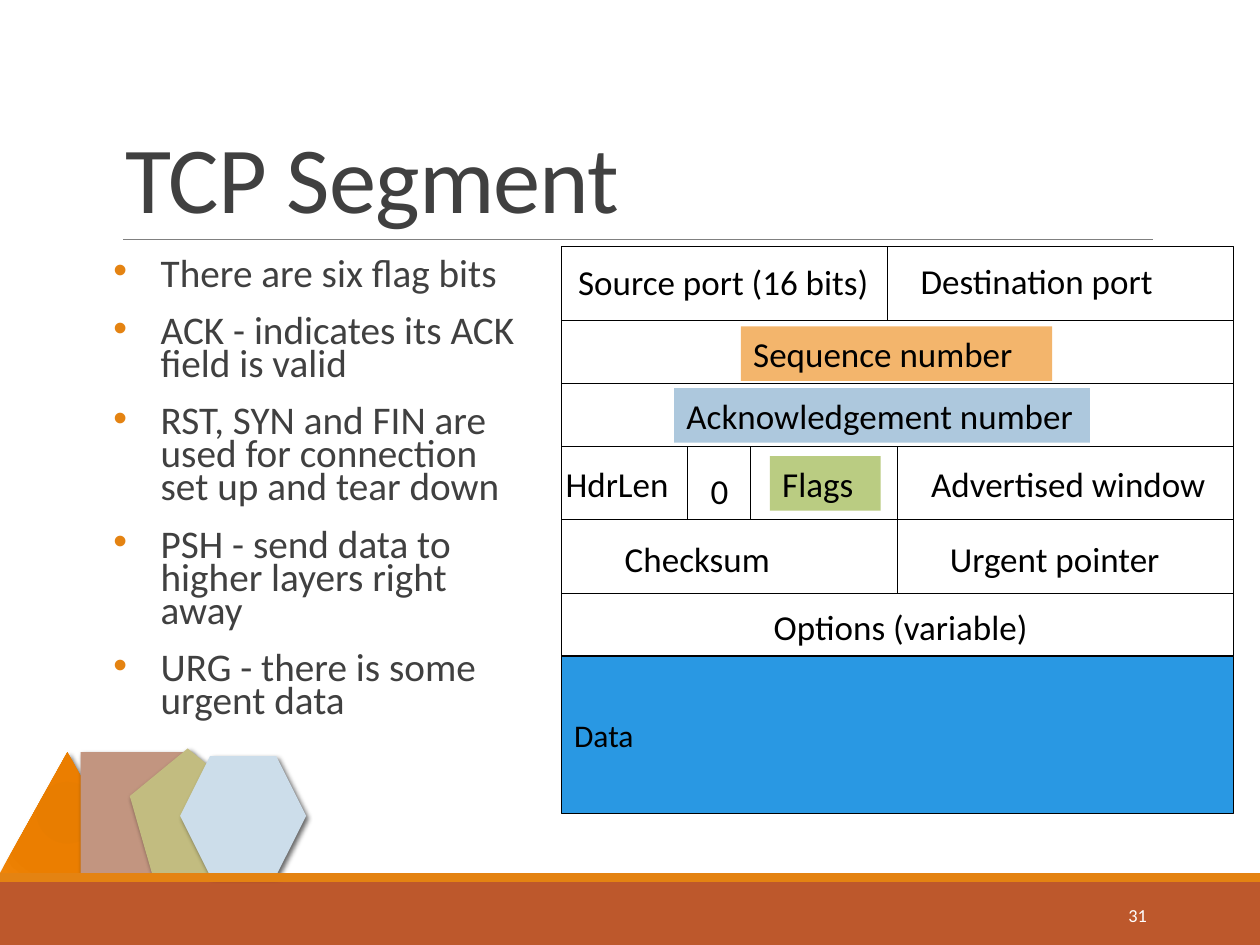
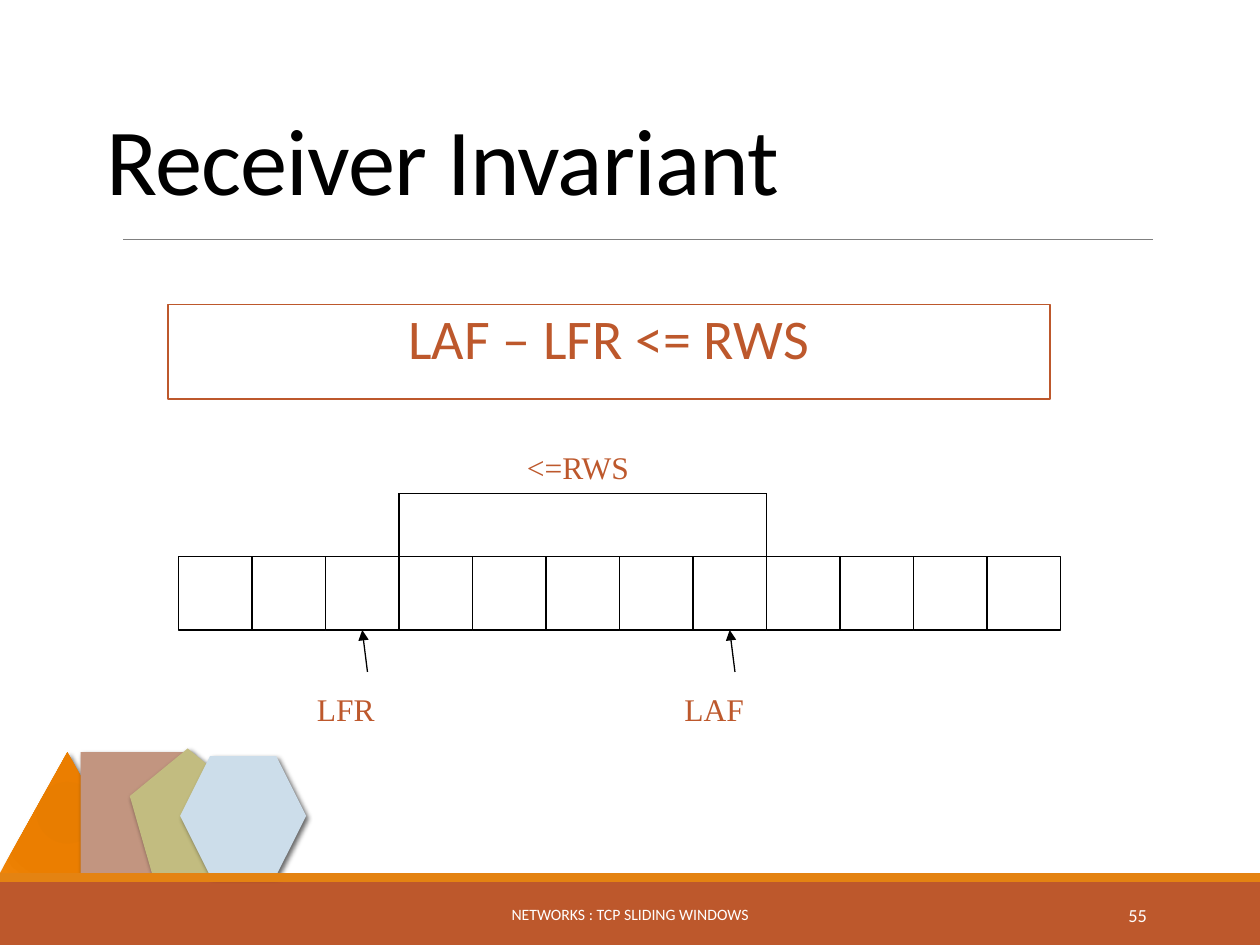
import dataclasses
import itertools
import typing

import pptx
import pptx.dml.color
import pptx.enum.shapes
import pptx.enum.text
import pptx.oxml
import pptx.oxml.ns
import pptx.util

RGB = pptx.dml.color.RGBColor
BLACK = RGB(0x00, 0x00, 0x00)
WHITE = RGB(0xFF, 0xFF, 0xFF)
CHARCOAL = RGB(0x40, 0x40, 0x40)
GREY = RGB(0x80, 0x80, 0x80)
ORANGE = RGB(0xE4, 0x83, 0x12)
RUST = RGB(0xBD, 0x58, 0x2C)
CLAY = RGB(0xC2, 0x95, 0x80)
OLIVE = RGB(0xC2, 0xBC, 0x80)
ICE = RGB(0xCC, 0xDD, 0xEA)
APRICOT = RGB(0xF3, 0xB5, 0x6C)
POWDER = RGB(0xAD, 0xC8, 0xDD)
GREEN = RGB(0xBA, 0xCC, 0x82)
BLUE = RGB(0x29, 0x98, 0xE3)
FLAME_STOPS = {0: "E57B00", 34: "E87D00", 70: "EB7E00", 100: "EF8407"}

COLUMNS, ROWS = 120, 90
SLIDE_WIDTH, SLIDE_HEIGHT = pptx.util.Inches(10), pptx.util.Inches(7.5)
UNIT = SLIDE_WIDTH / COLUMNS
HANGING = round(4.5 * UNIT)

KIND = pptx.enum.shapes.MSO_SHAPE
ALIGN = pptx.enum.text.PP_ALIGN
ANCHOR = pptx.enum.text.MSO_ANCHOR
Pt = pptx.util.Pt
Color = typing.Optional[RGB]


@dataclasses.dataclass(frozen=True)
class Box:
    """A rectangle in grid columns and rows."""
    left: float
    top: float
    width: float
    height: float

    def lengths(self) -> list[int]:
        return [round(value * UNIT) for value in dataclasses.astuple(self)]

    def moved(self, columns: float, rows: float) -> "Box":
        return dataclasses.replace(self, left=self.left + columns, top=self.top + rows)


@dataclasses.dataclass(frozen=True)
class TextStyle:
    size: float
    color: RGB
    font: str = "Calibri"
    align: ALIGN = ALIGN.LEFT
    anchor: ANCHOR = ANCHOR.TOP
    wrap: bool = True
    tracking: int = 0
    side_margin: float = 0.1
    hanging: bool = False
    bullet: bool = False
    spacing: dict = dataclasses.field(default_factory=dict)


@dataclasses.dataclass(frozen=True)
class Ornament:
    kind: KIND
    box: Box
    fill: Color


@dataclasses.dataclass(frozen=True)
class FieldLabel:
    """A name in the segment diagram, placed from the diagram's corner."""
    text: str
    box: Box
    fill: Color = None


TITLE = TextStyle(54, CHARCOAL, anchor=ANCHOR.BOTTOM, tracking=-50,
                  spacing={"line_spacing": 0.85})
PARAGRAPH_GAPS = {"space_before": Pt(12), "space_after": Pt(2)}
BULLETS = TextStyle(22.4, CHARCOAL, side_margin=0, hanging=True, bullet=True,
                    spacing={"line_spacing": 0.7, **PARAGRAPH_GAPS})
FORMULA = TextStyle(32, RUST, align=ALIGN.CENTER, side_margin=0, hanging=True,
                    spacing={"line_spacing": 0.9, **PARAGRAPH_GAPS})
FIELD = TextStyle(20, BLACK, wrap=False)
PAYLOAD = TextStyle(18, BLACK, anchor=ANCHOR.MIDDLE, wrap=False)
POINTER = TextStyle(18, RUST, font="Times New Roman", anchor=ANCHOR.MIDDLE, wrap=False)
PAGE_NUMBER = TextStyle(10.5, WHITE, align=ALIGN.RIGHT, anchor=ANCHOR.MIDDLE)
FOOTER = TextStyle(9, WHITE, align=ALIGN.CENTER, anchor=ANCHOR.MIDDLE)

TRIANGLE = Ornament(KIND.ISOSCELES_TRIANGLE, Box(0, 71.64, 12.84, 11.52), None)
SQUARE = Ornament(KIND.RECTANGLE, Box(7.68, 71.64, 10.44, 11.52), CLAY)
PENTAGON = Ornament(KIND.REGULAR_PENTAGON, Box(12.36, 71.28, 11.04, 11.88), OLIVE)
HEXAGON = Ornament(KIND.HEXAGON, Box(17.16, 72, 12, 11.4), ICE)

SEGMENT_LEFT, SEGMENT_TOP = 53.5, 23.5
SEGMENT_ROWS = [(7, [31, 33]), (6, [64]), (6, [64]), (7, [32, 32]),
                (7, [32, 32]), (6, [64])]
HEADER_DIVIDERS = [12, 18]
FIELD_LABELS = [
    FieldLabel("Source port (16 bits)", Box(0.38, 0.74, 30.36, 5.2)),
    FieldLabel("Destination port", Box(33, 0.62, 25.8, 5.2)),
    FieldLabel("Sequence number", Box(17.06, 7.58, 29.64, 5.2), APRICOT),
    FieldLabel("Acknowledgement number", Box(10.7, 13.46, 39.6, 5.2), POWDER),
    FieldLabel("Advertised window", Box(34, 19.94, 30.24, 5.2)),
    FieldLabel("HdrLen", Box(-0.82, 19.94, 13.32, 5.2)),
    FieldLabel("Flags", Box(19.82, 19.94, 10.56, 5.2), GREEN),
    FieldLabel("0", Box(13, 20.66, 4.32, 5.2)),
    FieldLabel("Checksum", Box(4.82, 27.14, 18.12, 5.2)),
    FieldLabel("Urgent pointer", Box(35.78, 27.14, 23.52, 5.2)),
    FieldLabel("Options (variable)", Box(19, 33.62, 28.68, 5.2)),
]
FLAG_NOTES = [
    "There are six flag bits",
    "ACK - indicates its ACK field is valid",
    "RST, SYN and FIN are used for connection set up and tear down",
    "PSH - send data to higher layers right away",
    "URG - there is some urgent data",
]

BUFFER_LEFT, BUFFER_TOP, CELL, CELL_COUNT = 17, 53, 7, 12
LFR_CELL, LAF_CELL = 2, 7


def drawing_xml(tag: str, content: str = "", attributes: str = ""):
    return pptx.oxml.parse_xml(
        f"<a:{tag} {pptx.oxml.ns.nsdecls('a')} {attributes}>{content}</a:{tag}>")


def write_text(shape, lines: list[str], style: TextStyle) -> None:
    frame = shape.text_frame
    margin = pptx.util.Inches(style.side_margin)
    for name, value in {"word_wrap": style.wrap, "vertical_anchor": style.anchor,
                        "margin_left": margin, "margin_right": margin}.items():
        setattr(frame, name, value)
    for index, line in enumerate(lines):
        paragraph = frame.add_paragraph() if index else frame.paragraphs[0]
        for name, value in {"alignment": style.align, **style.spacing}.items():
            setattr(paragraph, name, value)
        run = paragraph.add_run()
        run.text = line
        for name, value in {"name": style.font, "size": Pt(style.size)}.items():
            setattr(run.font, name, value)
        run.font.color.rgb = style.color
        if style.tracking:
            run._r.get_or_add_rPr().set("spc", str(style.tracking))
        properties = paragraph._p.get_or_add_pPr()
        if style.hanging:
            properties.set("marL", str(HANGING))
            properties.set("indent", str(-HANGING))
        if style.bullet:
            properties.append(drawing_xml("buClr", f'<a:srgbClr val="{ORANGE}"/>'))
            properties.append(drawing_xml("buFont", attributes='typeface="Arial"'))
            properties.append(drawing_xml("buChar", attributes='char="•"'))


def add_text(slide, box: Box, lines: list[str], style: TextStyle):
    shape = slide.shapes.add_textbox(*box.lengths())
    write_text(shape, lines, style)
    return shape


def add_block(slide, box: Box, fill: Color = None, line: Color = None,
              kind: KIND = KIND.RECTANGLE):
    shape = slide.shapes.add_shape(kind, *box.lengths())
    shape.shadow.inherit = False
    if fill is None:
        shape.fill.background()
    else:
        shape.fill.solid()
        shape.fill.fore_color.rgb = fill
    if line is None:
        shape.line.fill.background()
    else:
        shape.line.color.rgb = line
        shape.line.width = Pt(0.75)
    return shape


def add_line(slide, start: tuple, end: tuple, color: RGB = BLACK, width: float = 0.75):
    connector = slide.shapes.add_connector(
        pptx.enum.shapes.MSO_CONNECTOR.STRAIGHT,
        *(round(value * UNIT) for value in (*start, *end)))
    connector.line.color.rgb = color
    connector.line.width = Pt(width)
    connector._element.spPr.append(drawing_xml("effectLst"))
    return connector


def add_arrow(slide, label, cell) -> None:
    """Point from the top of a label to the bottom of a cell."""
    arrow = add_line(slide, (0, 0), (1, 1))
    arrow.begin_connect(label, 0)
    arrow.end_connect(cell, 2)
    arrow.line._get_or_add_ln().append(drawing_xml("tailEnd", attributes='type="triangle"'))


def add_ornament(slide, ornament: Ornament) -> None:
    """Draw a shadowed corner shape; without a plain fill it gets the flame gradient."""
    shape = add_block(slide, ornament.box, ornament.fill, kind=ornament.kind)
    properties = shape._element.spPr
    if ornament.fill is None:
        stops = "".join(f'<a:gs pos="{position * 1000}"><a:srgbClr val="{color}"/></a:gs>'
                        for position, color in FLAME_STOPS.items())
        focus = " ".join(f'{side}="100000"' for side in "ltrb")
        gradient = drawing_xml(
            "gradFill", f'<a:gsLst>{stops}</a:gsLst>'
            f'<a:path path="circle"><a:fillToRect {focus}/></a:path>')
        properties.replace(properties.find(pptx.oxml.ns.qn("a:noFill")), gradient)
    properties.find(pptx.oxml.ns.qn("a:effectLst")).append(drawing_xml(
        "outerShdw", '<a:srgbClr val="000000"><a:alpha val="60000"/></a:srgbClr>',
        f'blurRad="{Pt(3)}" dist="{Pt(2)}" dir="2700000" algn="tl" rotWithShape="0"'))


def add_base_slide(presentation, title: str, title_box: Box, title_color: RGB,
                   number: int, footer: str = ""):
    slide = presentation.slides.add_slide(presentation.slide_layouts[6])
    add_ornament(slide, TRIANGLE)
    add_ornament(slide, SQUARE)
    add_block(slide, Box(0, 84, COLUMNS, 6), RUST)
    add_line(slide, (11.76, 22.8), (109.8, 22.8), GREY, 0.5)
    add_ornament(slide, PENTAGON)
    add_ornament(slide, HEXAGON)
    add_block(slide, Box(0, 83.16, COLUMNS, 0.84), ORANGE)
    add_text(slide, title_box, [title], dataclasses.replace(TITLE, color=title_color))
    if footer:
        add_text(slide, Box(36.24, 84.72, 47.52, 4.8), [footer], FOOTER)
    add_text(slide, Box(97.44, 84.72, 12.96, 4.8), [str(number)], PAGE_NUMBER)
    return slide


def add_segment_slide(presentation) -> None:
    slide = add_base_slide(presentation, "TCP Segment", Box(10.8, 3.72, 99, 19.08),
                           CHARCOAL, 31)
    add_text(slide, Box(10.8, 24.24, 39.48, 52.8), FLAG_NOTES, BULLETS)
    row_tops = list(itertools.accumulate((height for height, _ in SEGMENT_ROWS),
                                         initial=SEGMENT_TOP))
    for top, (height, widths) in zip(row_tops, SEGMENT_ROWS):
        lefts = itertools.accumulate(widths, initial=SEGMENT_LEFT)
        for left, width in zip(lefts, widths):
            add_block(slide, Box(left, top, width, height), line=BLACK)
    for column in HEADER_DIVIDERS:
        left = SEGMENT_LEFT + column
        add_line(slide, (left, row_tops[3]), (left, row_tops[4]))
    for label in FIELD_LABELS:
        box = label.box.moved(SEGMENT_LEFT, SEGMENT_TOP)
        if label.fill is None:
            add_text(slide, box, [label.text], FIELD)
        else:
            write_text(add_block(slide, box, label.fill), [label.text], FIELD)
    payload = add_block(slide, Box(SEGMENT_LEFT, row_tops[-1], 64, 15), BLUE, BLACK)
    write_text(payload, ["Data"], PAYLOAD)


def add_receiver_slide(presentation) -> None:
    slide = add_base_slide(presentation, "Receiver Invariant", Box(9, 6, 102, 15),
                           BLACK, 55, "NETWORKS : TCP SLIDING WINDOWS")
    formula = add_block(slide, Box(16, 29, 84, 9), line=RUST)
    write_text(formula, ["LAF – LFR <= RWS"], FORMULA)
    cells = [add_block(slide, Box(BUFFER_LEFT + index * CELL, BUFFER_TOP, CELL, CELL),
                       WHITE, BLACK) for index in range(CELL_COUNT)]

    def add_label(text: str, left: float, top: float):
        label = add_block(slide, Box(left, top, 12, 7), WHITE, WHITE)
        write_text(label, [text], POINTER)
        return label

    for text, index in (("LFR", LFR_CELL), ("LAF", LAF_CELL)):
        label = add_label(text, BUFFER_LEFT + index * CELL - 2, 64)
        add_arrow(slide, label, cells[index])
    add_label("<=RWS", 49, 41)

    bracket_top = BUFFER_TOP - 6
    ends = [BUFFER_LEFT + (index + 1) * CELL for index in (LFR_CELL, LAF_CELL)]
    for column in ends:
        add_line(slide, (column, bracket_top), (column, BUFFER_TOP))
    add_line(slide, (ends[0], bracket_top), (ends[1], bracket_top))


def main() -> None:
    presentation = pptx.Presentation()
    presentation.slide_width, presentation.slide_height = SLIDE_WIDTH, SLIDE_HEIGHT
    add_segment_slide(presentation)
    add_receiver_slide(presentation)
    presentation.save("out.pptx")


if __name__ == "__main__":
    main()
